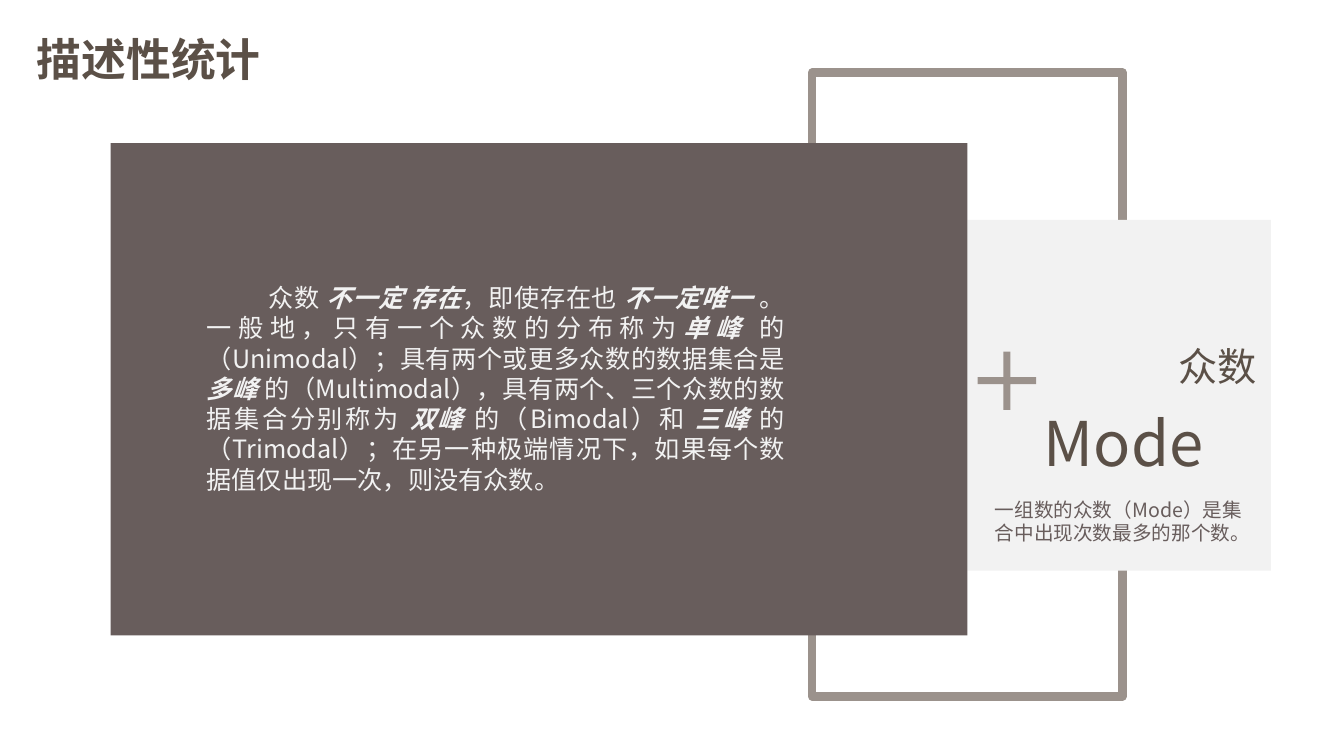
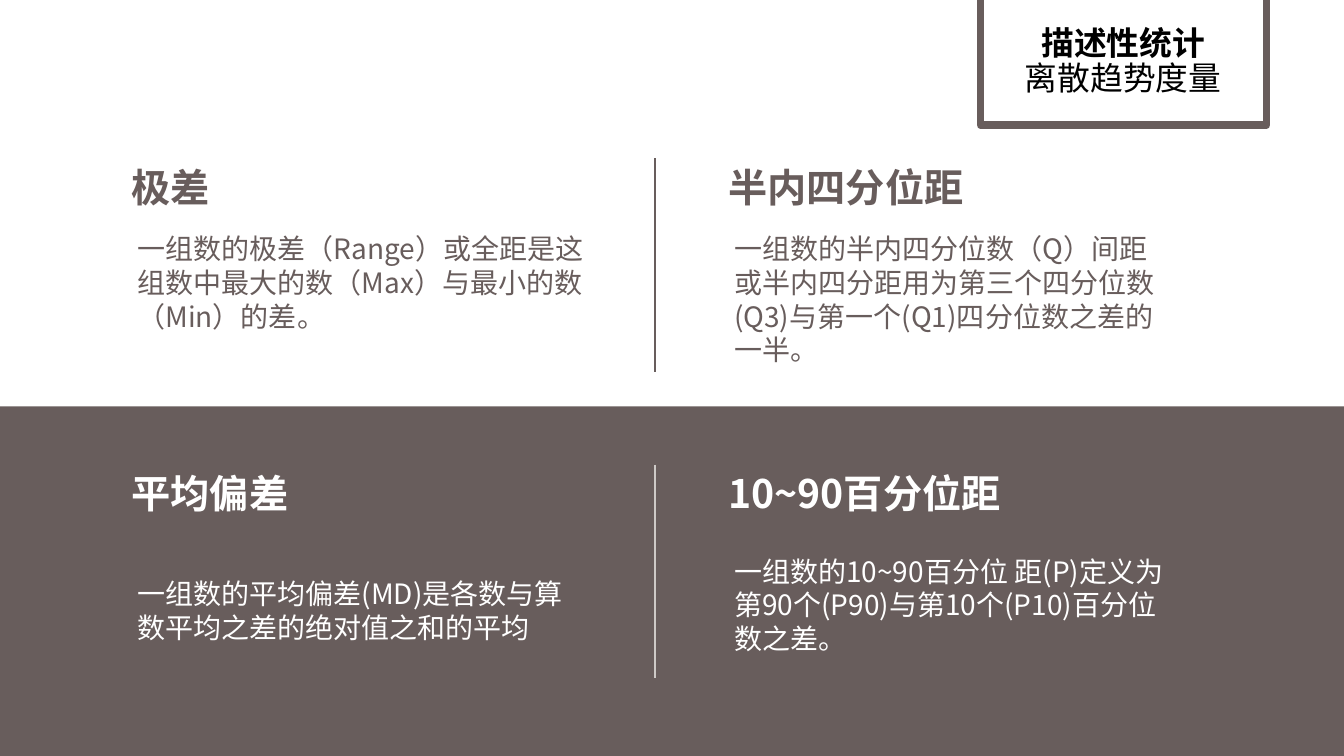
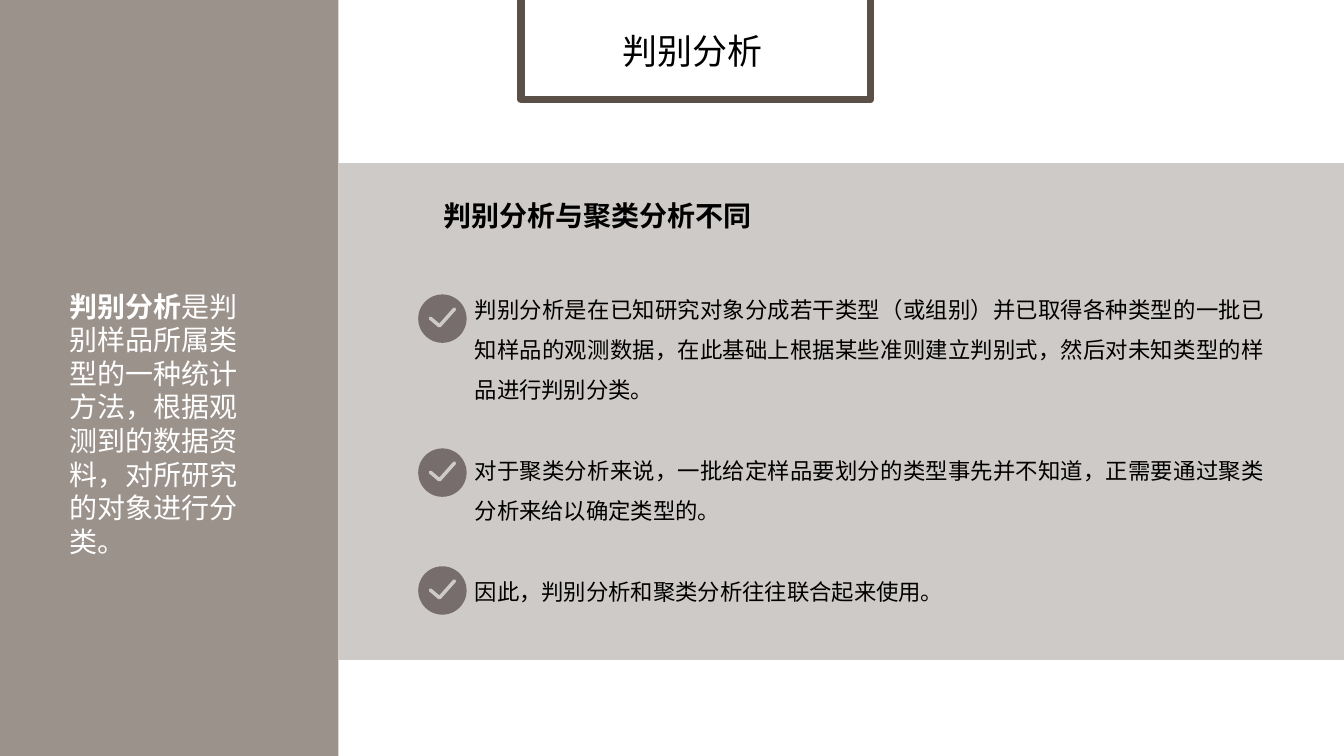
from dataclasses import dataclass

from lxml import etree
from pptx import Presentation
from pptx.dml.color import RGBColor
from pptx.enum.shapes import MSO_CONNECTOR, MSO_SHAPE
from pptx.enum.text import MSO_ANCHOR, MSO_AUTO_SIZE, PP_ALIGN
from pptx.oxml.ns import qn
from pptx.util import Cm, Pt

RECTANGLE, OVAL, CROSS = MSO_SHAPE.RECTANGLE, MSO_SHAPE.OVAL, MSO_SHAPE.CROSS
LEFT, CENTER, RIGHT, JUSTIFY = (
    PP_ALIGN.LEFT, PP_ALIGN.CENTER, PP_ALIGN.RIGHT, PP_ALIGN.JUSTIFY)
TOP, MIDDLE = MSO_ANCHOR.TOP, MSO_ANCHOR.MIDDLE
TITLE_AND_BODY, TITLE_ONLY = 1, 5


@dataclass(frozen=True)
class Theme:
    font: str = "Noto Sans CJK SC"
    white: str = "FFFFFF"
    black: str = "000000"
    pale: str = "F2F2F2"
    sand: str = "CECAC7"
    taupe: str = "9B928C"
    plum: str = "685D5C"
    disc: str = "776D6C"
    brown: str = "5B5047"
    display: float = 44
    title: float = 32
    heading: float = 28
    tab_title: float = 25
    tab_title_small: float = 23.4
    body: float = 20
    body_small: float = 18
    item: float = 16
    caption: float = 14
    frame_line: float = 6
    tab_line: float = 5.5
    divider_line: float = 1.5
    tick_line: float = 2.5


THEME = Theme()
WIDTH, HEIGHT = 33.87, 19.05

# Text between asterisks is emphasised. Boxes are left, top, width, height in cm.
MODE = {
    "title": "描述性统计",
    "name": "众数",
    "english": "Mode",
    "definition": "一组数的众数（Mode）是集合中出现次数最多的那个数。",
    "details": "众数 *不一定 存在*，即使存在也 *不一定唯一 *。一般地，只有一个众数的分布称为"
               "*单峰 *的（Unimodal）；具有两个或更多众数的数据集合是*多峰 *的（Multimodal），"
               "具有两个、三个众数的数据集合分别称为 *双峰 *的（Bimodal）和 *三峰 *的（Trimodal）；"
               "在另一种极端情况下，如果每个数据值仅出现一次，则没有众数。",
}

DISPERSION_TITLE = ["*描述性统计*", "离散趋势度量"]
COLUMN_LEFTS = (3.07, 18.11)
# Each row: top, text colour, divider colour, cells of (heading, text, text top, text width)
DISPERSION_ROWS = [
    (3.99, THEME.plum, THEME.plum, [
        ("极差", "一组数的极差（Range）或全距是这组数中最大的数（Max）与最小的数（Min）的差。",
         5.72, 12.29),
        ("半内四分位距", "一组数的半内四分位数（Q）间距或半内四分距用为第三个四分位数(Q3)"
         "与第一个(Q1)四分位数之差的一半。", 5.72, 11.4),
    ]),
    (11.71, THEME.white, THEME.sand, [
        ("平均偏差", "一组数的平均偏差(MD)是各数与算数平均之差的绝对值之和的平均", 14.4, 11.73),
        ("10~90百分位距", "一组数的10~90百分位 距(P)定义为第90个(P90)与第10个(P10)百分位数之差。",
         13.84, 11.7),
    ]),
]

DISCRIMINANT = {
    "title": "判别分析",
    "summary": "*判别分析*是判别样品所属类型的一种统计方法，根据观测到的数据资料，"
               "对所研究的对象进行分类。",
    "heading": "*判别分析与聚类分析不同*",
    "items": [  # text, top of its tick disc
        ("判别分析是在已知研究对象分成若干类型（或组别）并已取得各种类型的一批已知样品的观测数据，"
         "在此基础上根据某些准则建立判别式，然后对未知类型的样品进行判别分类。", 7.42),
        ("对于聚类分析来说，一批给定样品要划分的类型事先并不知道，正需要通过聚类分析来给以确定类型的。",
         11.3),
        ("因此，判别分析和聚类分析往往联合起来使用。", 14.27),
    ],
}


def lengths(box):
    return [Cm(value) for value in box]


def color(value):
    return RGBColor.from_string(value)


def add_block(slide, box, fill=None, line=None, line_width=0, kind=RECTANGLE):
    shape = slide.shapes.add_shape(kind, *lengths(box))
    shape.shadow.inherit = False
    if fill:
        shape.fill.solid()
        shape.fill.fore_color.rgb = color(fill)
    else:
        shape.fill.background()
    if line:
        shape.line.color.rgb = color(line)
        shape.line.width = Pt(line_width)
    else:
        shape.line.fill.background()
    return shape


def write_paragraph(paragraph, text, size, ink, align=LEFT, italic=False,
                    spacing=1.0, before=0, margin=0, indent=0, bullet=None):
    paragraph.alignment = align
    paragraph.line_spacing = spacing
    paragraph.space_before = Pt(before)
    paragraph.space_after = Pt(0)
    properties = paragraph._p.get_or_add_pPr()
    properties.set("marL", str(Cm(margin)))
    properties.set("indent", str(Cm(indent)))
    if bullet:
        etree.SubElement(properties, qn("a:buChar")).set("char", bullet)
    else:
        etree.SubElement(properties, qn("a:buNone"))
    for position, piece in enumerate(text.split("*")):
        if not piece:
            continue
        emphasised = position % 2 == 1
        run = paragraph.add_run()
        run.text = piece
        font = run.font
        font.size = Pt(size)
        font.bold = emphasised
        font.italic = emphasised and italic
        font.color.rgb = color(ink)
        font.name = THEME.font
        east_asian = etree.SubElement(run._r.get_or_add_rPr(), qn("a:ea"))
        east_asian.set("typeface", THEME.font)


def prepare_frame(shape, anchor):
    frame = shape.text_frame
    frame.word_wrap = True
    frame.auto_size = MSO_AUTO_SIZE.NONE
    frame.vertical_anchor = anchor
    return frame


def add_text(slide, box, text, size, ink, align=LEFT, anchor=TOP):
    frame = prepare_frame(slide.shapes.add_textbox(*lengths(box)), anchor)
    write_paragraph(frame.paragraphs[0], text, size, ink, align)


def place_placeholder(placeholder, box, anchor):
    """Move a placeholder to its box, in front of what is drawn so far."""
    placeholder.left, placeholder.top, placeholder.width, placeholder.height = lengths(box)
    tree = placeholder.element.getparent()
    tree.append(placeholder.element)
    return prepare_frame(placeholder, anchor)


def fill_title(slide, box, lines, size, ink, align=CENTER, spacing=0.9):
    frame = place_placeholder(slide.shapes.title, box, MIDDLE)
    for number, line in enumerate(lines):
        paragraph = frame.add_paragraph() if number else frame.paragraphs[0]
        write_paragraph(paragraph, line, size, ink, align, spacing=spacing)


def add_title_tab(slide, tab_box, line, title_box, lines, size):
    """Draw the framed tab that hangs from the top edge, with the title in it."""
    add_block(slide, tab_box, THEME.white, line, THEME.tab_line)
    fill_title(slide, title_box, lines, size, THEME.black)


def add_divider(slide, x, top, length, line):
    connector = slide.shapes.add_connector(
        MSO_CONNECTOR.STRAIGHT, *lengths((x, top, x, top + length)))
    connector.line.color.rgb = color(line)
    connector.line.width = Pt(THEME.divider_line)
    etree.SubElement(connector.element.spPr, qn("a:effectLst"))


def add_tick_disc(slide, left, top, size=1.22):
    add_block(slide, (left, top, size, size), THEME.disc, kind=OVAL)
    start, *corners = [(Cm(left + size * x), Cm(top + size * y))
                       for x, y in ((0.25, 0.49), (0.44, 0.65), (0.75, 0.3))]
    builder = slide.shapes.build_freeform(*start)
    builder.add_line_segments(corners, close=False)
    tick = builder.convert_to_shape()
    tick.shadow.inherit = False
    tick.fill.background()
    tick.line.color.rgb = color(THEME.sand)
    tick.line.width = Pt(THEME.tick_line)
    tick.line._get_or_add_ln().set("cap", "rnd")


def build_mode(presentation):
    slide = presentation.slides.add_slide(presentation.slide_layouts[TITLE_AND_BODY])
    add_block(slide, (20.47, 1.83, 7.82, 15.72), line=THEME.taupe,
              line_width=THEME.frame_line)
    add_block(slide, (24.38, 5.54, 7.65, 8.84), THEME.pale)
    plus = add_block(slide, (24.64, 8.86, 1.47, 1.47), THEME.taupe, kind=CROSS)
    plus.adjustments[0] = 0.44
    fill_title(slide, (0.25, 0, 6.58, 2.97), [f"*{MODE['title']}*"],
               THEME.title, THEME.brown, RIGHT, 1.0)
    add_block(slide, (2.79, 3.61, 21.59, 12.4), THEME.plum)
    add_text(slide, (24.64, 7.62, 7.29, 3.2), MODE["name"],
             THEME.heading, THEME.brown, RIGHT, MIDDLE)
    add_text(slide, (24.64, 9.53, 5.94, 3.2), MODE["english"],
             THEME.display, THEME.brown, RIGHT, MIDDLE)
    add_text(slide, (24.82, 12.42, 6.96, 1.45), MODE["definition"],
             THEME.caption, THEME.plum)
    body = place_placeholder(slide.placeholders[1], (4.95, 6.99, 15.09, 5.64), TOP)
    write_paragraph(body.paragraphs[0], MODE["details"], THEME.body_small, THEME.pale,
                    JUSTIFY, italic=True, indent=1.56)


def build_dispersion(presentation):
    slide = presentation.slides.add_slide(presentation.slide_layouts[TITLE_ONLY])
    add_block(slide, (0, 10.24, WIDTH, HEIGHT - 10.24), THEME.plum)
    add_title_tab(slide, (24.71, -1.75, 7.21, 4.9), THEME.plum,
                  (23.9, 0.13, 8.81, 2.87), DISPERSION_TITLE, THEME.tab_title_small)
    for top, ink, line, cells in DISPERSION_ROWS:
        add_divider(slide, 16.51, top, 5.38, line)
        for left, (heading, text, text_top, text_width) in zip(COLUMN_LEFTS, cells):
            add_text(slide, (left, top, 9, 1.45), f"*{heading}*", THEME.heading, ink)
            add_text(slide, (left + 0.14, text_top, text_width, 3.7), text,
                     THEME.body, ink)


def build_discriminant(presentation):
    slide = presentation.slides.add_slide(presentation.slide_layouts[TITLE_AND_BODY])
    sidebar = 8.53
    add_block(slide, (0, 0, sidebar, HEIGHT), THEME.taupe)
    add_block(slide, (sidebar, 4.11, WIDTH - sidebar, 12.52), THEME.sand)
    add_title_tab(slide, (13.13, -1.83, 8.81, 4.34), THEME.brown,
                  (13.36, 0.08, 8.18, 2.54), [DISCRIMINANT["title"]], THEME.tab_title)
    add_text(slide, (1.5, 7.16, 5.23, 7.09), DISCRIMINANT["summary"],
             THEME.body, THEME.white)
    body = place_placeholder(slide.placeholders[1], (10.92, 4.45, 21.21, 11.02), TOP)
    write_paragraph(body.paragraphs[0], DISCRIMINANT["heading"], THEME.body, THEME.black,
                    JUSTIFY, spacing=1.5)
    for number, (text, disc_top) in enumerate(DISCRIMINANT["items"]):
        write_paragraph(body.add_paragraph(), text, THEME.item, THEME.black, JUSTIFY,
                        spacing=1.5, before=29 if number else 36,
                        margin=0.79, indent=-0.79, bullet="•")
        add_tick_disc(slide, 10.54, disc_top)


def main():
    presentation = Presentation()
    presentation.slide_width, presentation.slide_height = Cm(WIDTH), Cm(HEIGHT)
    build_mode(presentation)
    build_dispersion(presentation)
    build_discriminant(presentation)
    presentation.save("out.pptx")


if __name__ == "__main__":
    main()
